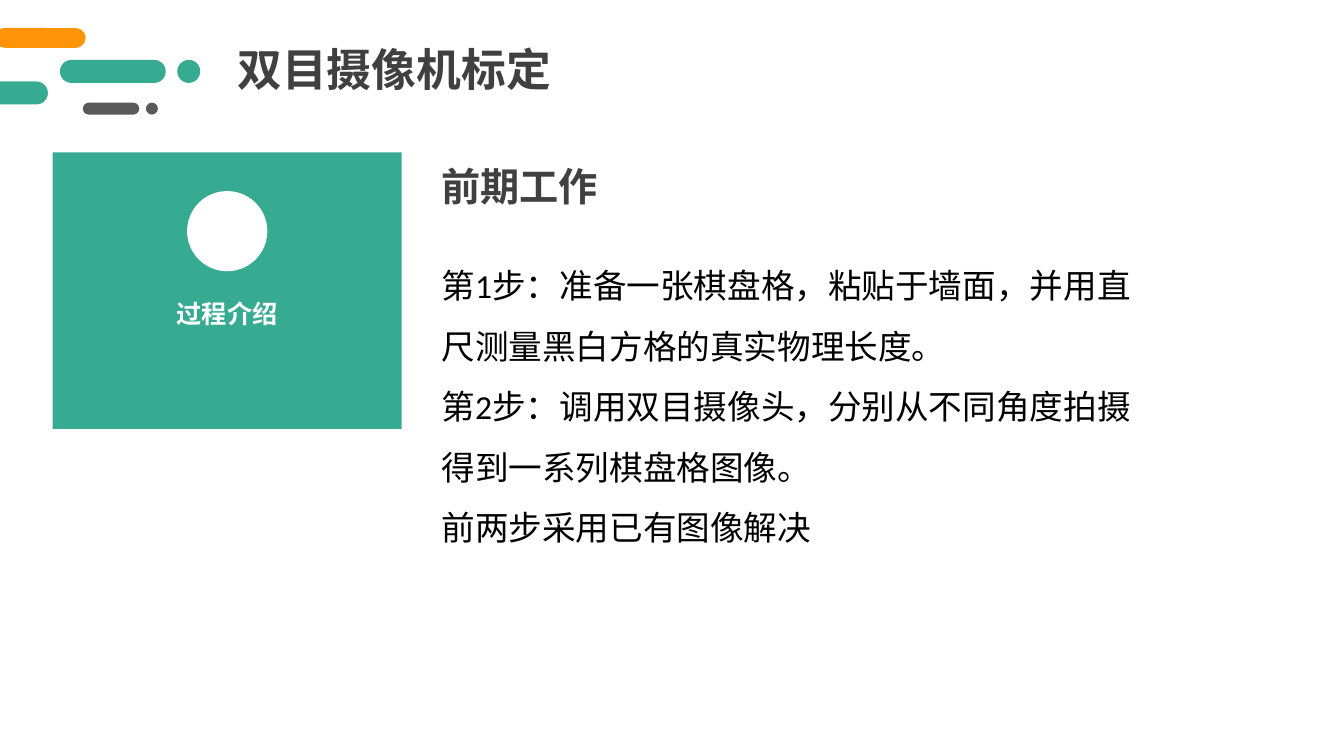
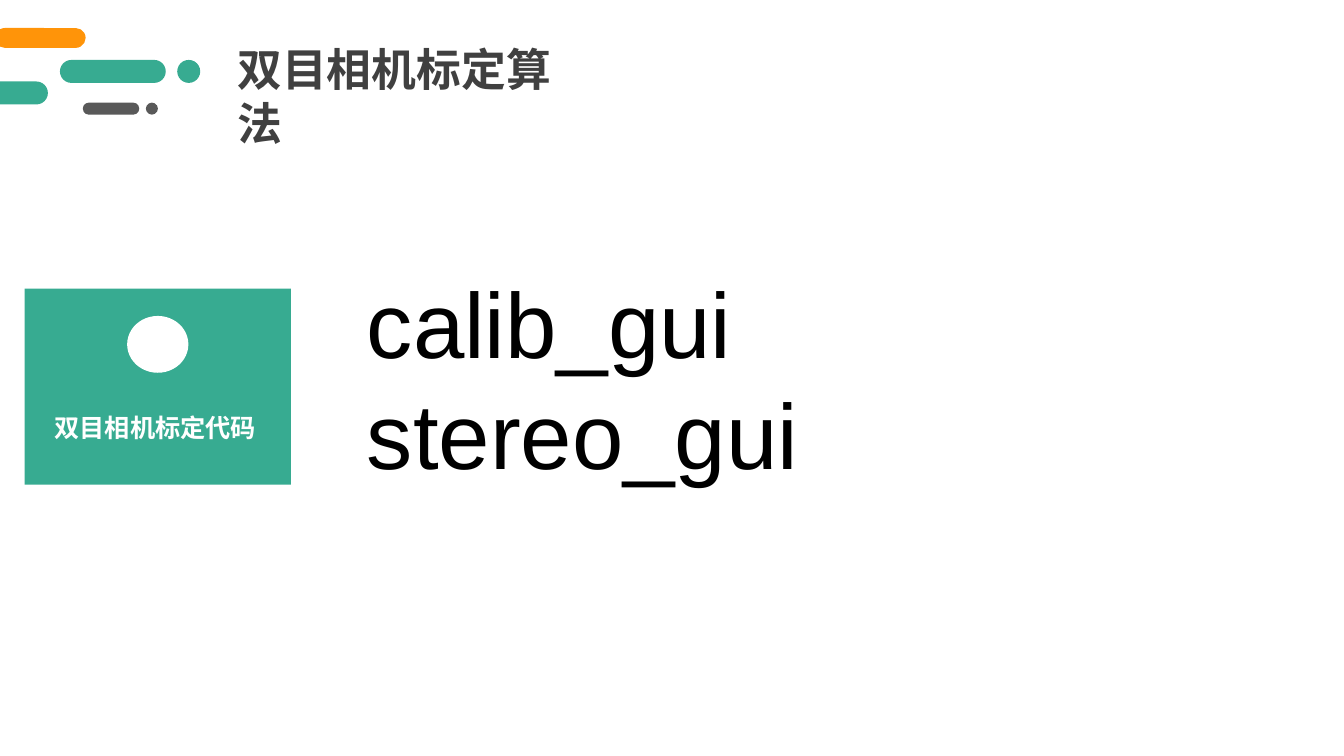
from dataclasses import dataclass

from lxml import etree
from pptx import Presentation
from pptx.dml import color
from pptx.enum import shapes, text
from pptx.util import Pt

RGB = color.RGBColor.from_string
KIND = shapes.MSO_SHAPE


@dataclass(frozen=True)
class Theme:
    """Colours, fonts and type sizes of the deck."""

    green: str = "37AB91"
    orange: str = "FF9409"
    gray: str = "595959"
    dark: str = "404040"
    black: str = "000000"
    white: str = "FFFFFF"
    sans: str = "Arial"
    prose: str = "Calibri"
    title: int = 32
    head: int = 28
    body: int = 24
    label: int = 18
    code: int = 66


LOOK = Theme()


def place(item, box):
    """Move and size an item to a box given in points."""
    item.left, item.top, item.width, item.height = map(Pt, box)


def shape(slide, kind, box, fill):
    """Add a flat filled shape without an outline."""
    item = slide.shapes.add_shape(kind, *map(Pt, box))
    item.shadow.inherit = False
    item.fill.solid()
    item.fill.fore_color.rgb = RGB(fill)
    item.line.fill.background()
    return item


def write(item, words, size, ink, font=LOOK.sans, bold=False,
          align=text.PP_ALIGN.LEFT, lines=1.0):
    """Fill an item with wrapped paragraphs in one style."""
    frame = item.text_frame
    frame.text = words
    frame.word_wrap = True
    frame.auto_size = text.MSO_AUTO_SIZE.NONE
    frame.vertical_anchor = text.MSO_ANCHOR.TOP
    for para in frame.paragraphs:
        para.alignment = align
        para.line_spacing = lines
        para.space_before = Pt(0)
        for run in para.runs:
            run.font.name, run.font.size = font, Pt(size)
            run.font.bold, run.font.color.rgb = bold, RGB(ink)


def label(slide, box, words, size, ink, align=text.PP_ALIGN.LEFT):
    """Add a bold text box."""
    item = slide.shapes.add_textbox(*map(Pt, box))
    write(item, words, size, ink, bold=True, align=align)


def plain(item):
    """Remove bullets and indents from a body placeholder."""
    for para in item.text_frame.paragraphs:
        props = para._p.get_or_add_pPr()
        props.set("marL", "0")
        props.set("indent", "0")
        space = props.nsmap["a"]
        etree.SubElement(props, f"{{{space}}}buNone")


def marks(slide, left, top):
    """Draw the corner dashes and dots from a top left point."""
    dashes = (
        (46.4, 22.8, 75.6, 16.4, LOOK.green),
        (130.2, 22.8, 16.4, 16.4, LOOK.green),
        (62.8, 53.3, 40.3, 8.6, LOOK.gray),
        (107.8, 53.3, 8.6, 8.6, LOOK.gray),
        (-8.6, 38.2, 46.4, 16.4, LOOK.green),
        (0, 0, 64.8, 14.2, LOOK.orange),
    )
    for x, y, wide, high, fill in dashes:
        kind = KIND.OVAL if wide == high else KIND.ROUNDED_RECTANGLE
        item = shape(slide, kind, (left + x, top + y, wide, high), fill)
        if wide != high:
            item.adjustments[0] = 0.5


def card(slide, box, words, inner):
    """Draw a green card with a disc and a label placed inside it."""
    left, top, wide, high = box
    x, y, span = inner
    shape(slide, KIND.RECTANGLE, box, LOOK.green)
    disc = wide * 0.23
    shape(slide, KIND.OVAL, (left + (wide - disc) / 2, top + high * 0.14,
                             disc, high * 0.29), LOOK.white)
    label(slide, (left + x, top + y, span, 29), words, LOOK.label,
          LOOK.white, text.PP_ALIGN.CENTER)


def page(deck, title, words, box, **style):
    """Add a slide with corner marks, a title and a body."""
    slide = deck.slides.add_slide(deck.slide_layouts[1])
    marks(slide, -3.6, 20)
    head, body = slide.placeholders
    place(head, (162.3, 26.4, 240.5, 46))
    write(head, title, LOOK.title, LOOK.dark, bold=True)
    place(body, box)
    write(body, words, ink=LOOK.black, **style)
    plain(body)
    return slide


def steps(deck):
    """Build the slide on the preparatory steps."""
    left, top, wide = 308.2, 112.3, 518.4
    words = "\n".join((
        "第1步：准备一张棋盘格，粘贴于墙面，并用直尺测量黑白方格的真实物理长度。",
        "第2步：调用双目摄像头，分别从不同角度拍摄得到一系列棋盘格图像。",
        "前两步采用已有图像解决",
    ))
    slide = page(deck, "双目摄像机标定", words, (left, top + 59.1, wide, 230),
                 size=LOOK.body, font=LOOK.prose, lines=1.5)
    card(slide, (37.6, 108.8, 249.4, 197.5), "过程介绍", (40.6, 100.7, 168))
    label(slide, (left, top, 214.6, 46), "前期工作", LOOK.head, LOOK.dark)


def tools(deck):
    """Build the slide on the calibration code."""
    slide = page(deck, "双目相机标定算法", "calib_gui\nstereo_gui",
                 (254.9, 186.5, 680, 167), size=LOOK.code)
    card(slide, (17.6, 206.1, 190.2, 140), "双目相机标定代码",
         (4, 84.8, 178.6))


def main():
    """Build and save the deck."""
    deck = Presentation()
    deck.slide_width, deck.slide_height = Pt(960), Pt(540)
    steps(deck)
    tools(deck)
    deck.save("out.pptx")


if __name__ == "__main__":
    main()
